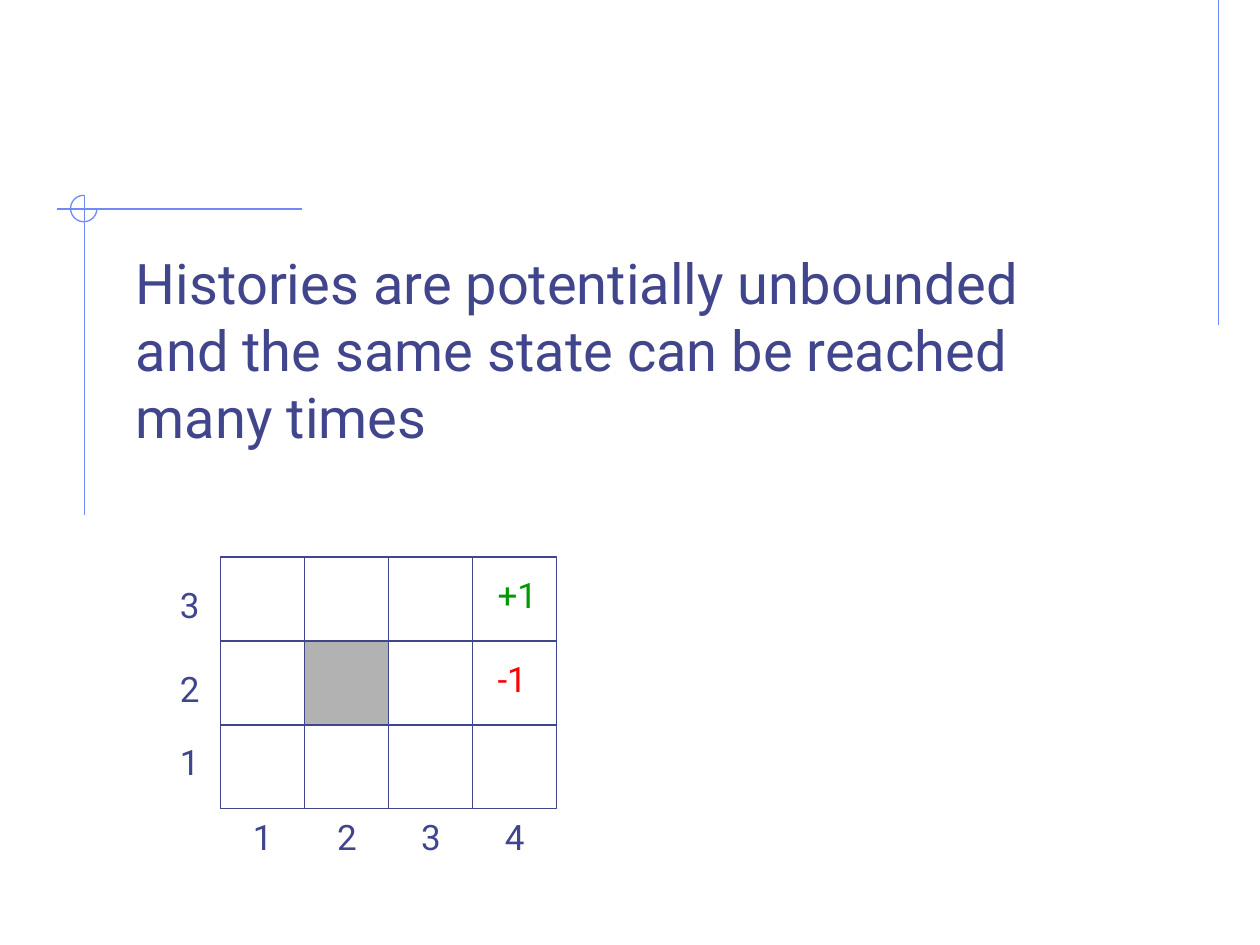
"""Build a slide on unbounded histories with a 4 by 3 grid world."""
from lxml import etree
from pptx import Presentation
from pptx import util as u
from pptx.dml.color import RGBColor
from pptx.enum import shapes, text
from pptx.oxml.ns import qn

NAVY, SKY, GRAY, RED, GREEN = "40458C", "6F89F7", "B2B2B2", "FF0000", "009900"
color = RGBColor.from_string


def add_text(content, left, top, width, height=0.44, size=20, hex_color=NAVY):
    box = slide.shapes.add_textbox(*map(u.Inches, (left, top, width, height)))
    frame = box.text_frame
    frame.word_wrap = False
    frame.auto_size = text.MSO_AUTO_SIZE.SHAPE_TO_FIT_TEXT
    frame.text = content
    for paragraph in frame.paragraphs:
        font = paragraph.font
        font.name, font.size = "Roboto", u.Pt(size)
        font.color.rgb = color(hex_color)


def add_line(x1, y1, x2, y2, hex_color):
    line = slide.shapes.add_connector(
        shapes.MSO_CONNECTOR.STRAIGHT, *map(u.Inches, (x1, y1, x2, y2)))
    line.line.color.rgb = color(hex_color)
    line.line.width = u.Pt(0.75)
    etree.SubElement(line._element.spPr, qn("a:effectLst"))


presentation = Presentation()
presentation.slide_width, presentation.slide_height = u.Inches(10), u.Inches(7.5)
slide = presentation.slides.add_slide(presentation.slide_layouts[6])

for ends in [(9.67, 0, 9.67, 2.58), (2.4, 1.66, 0.45, 1.66), (0.67, 1.55, 0.67, 4.09)]:
    add_line(*ends, SKY)

cell, columns, rows = 2 / 3, 4, 3
grid_left, grid_top = 1.75, 4.42
grid_right, grid_bottom = grid_left + columns * cell, grid_top + rows * cell

outlines = [
    (shapes.MSO_SHAPE.ARC, 0.56, 1.55, 0.21, 0.21, None, SKY),
    (shapes.MSO_SHAPE.RECTANGLE, grid_left, grid_top, columns * cell, rows * cell, None, NAVY),
    (shapes.MSO_SHAPE.RECTANGLE, grid_left + cell, grid_top + cell, cell, cell, GRAY, NAVY),
]
for kind, left, top, width, height, fill, line_color in outlines:
    shape = slide.shapes.add_shape(kind, *map(u.Inches, (left, top, width, height)))
    shape.shadow.inherit = False
    shape.line.color.rgb = color(line_color)
    shape.line.width = u.Pt(0.75)
    if fill:
        shape.fill.solid()
        shape.fill.fore_color.rgb = color(fill)
    else:
        shape.fill.background()
    if kind == shapes.MSO_SHAPE.ARC:
        shape.adjustments[0], shape.adjustments[1] = 0, 162

for column in range(1, columns):
    x = grid_left + column * cell
    add_line(x, grid_top, x, grid_bottom, NAVY)
for row in range(1, rows):
    y = grid_top + row * cell
    add_line(grid_left, y, grid_right, y, NAVY)

for column in range(columns):
    add_text(str(column + 1), 1.91 + column * cell, grid_bottom, 0.36)
for label, top in [("3", 4.58), ("2", 5.25), ("1", 5.83)]:
    add_text(label, 1.33, top, 0.36)
add_text("+1", 3.85, 4.5, 0.52, hex_color=GREEN)
add_text("-1", 3.85, 5.17, 0.45, hex_color=RED)

add_text("Histories are potentially unbounded\nand the same state can be reached\nmany times",
         0.98, 1.92, 7.85, 1.7, size=32)

presentation.save("out.pptx")
